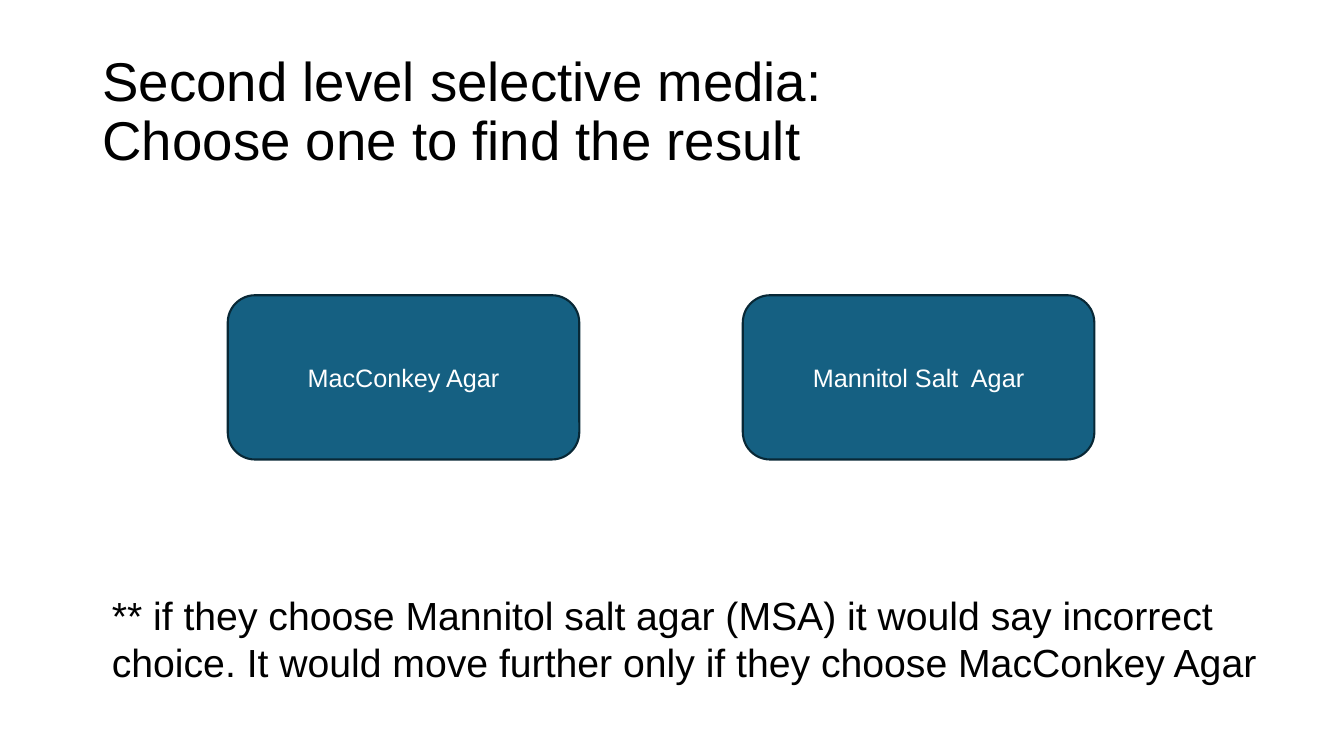
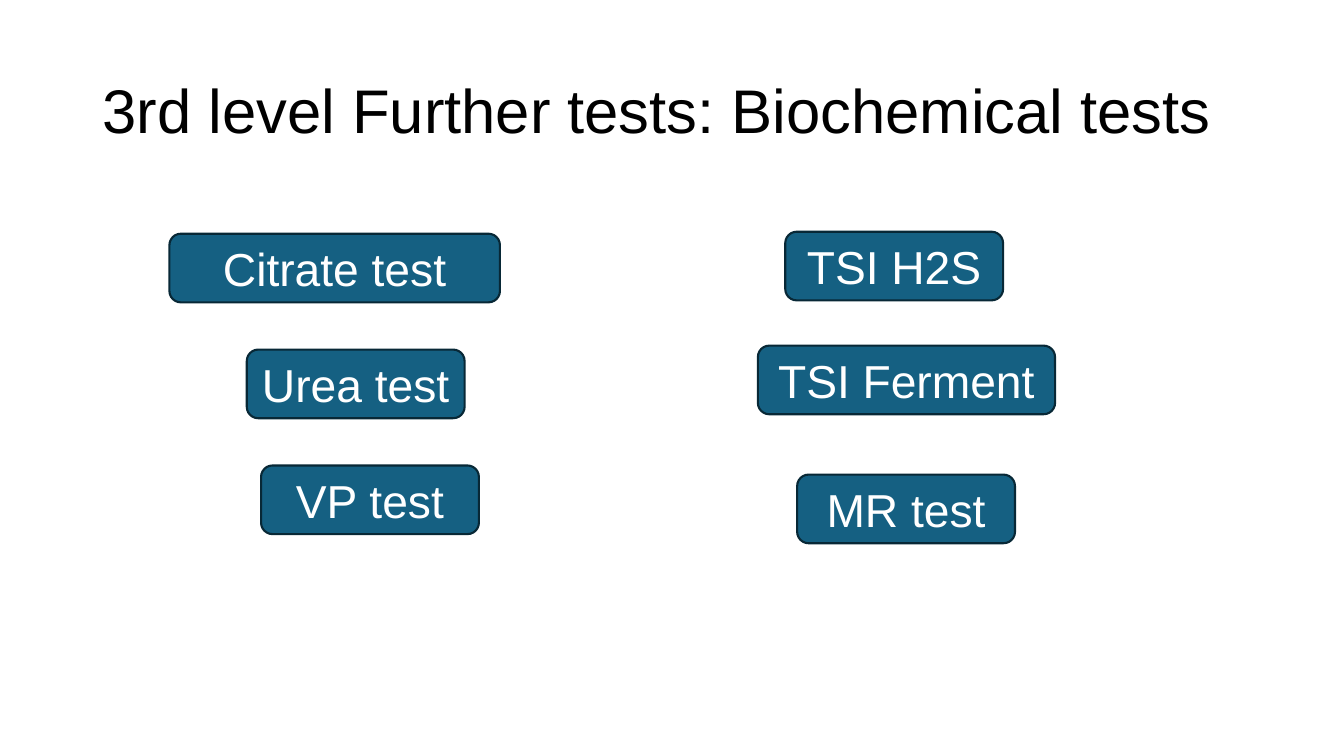
from pptx import Presentation, util as u
from pptx.dml.color import RGBColor
from pptx.enum import shapes, text

COLORS = {"ink": "000000", "paper": "FFFFFF", "box": "156082", "edge": "082836"}
FONT = "Arial"
TITLE_ONLY = 5


def color(name):
    return RGBColor.from_string(COLORS[name])


def write(tf, lines, size, ink="ink", align=text.PP_ALIGN.LEFT,
          anchor=text.MSO_ANCHOR.MIDDLE, spacing=1.0):
    """Write each line as a paragraph in one shared format."""
    tf.word_wrap = True
    tf.auto_size = text.MSO_AUTO_SIZE.NONE
    tf.vertical_anchor = anchor
    for i, line in enumerate(lines):
        p = tf.add_paragraph() if i else tf.paragraphs[0]
        p.alignment, p.line_spacing = align, spacing
        r = p.add_run()
        r.text = line
        r.font.name, r.font.size = FONT, u.Pt(size)
        r.font.color.rgb = color(ink)


def add_slide(prs, title_lines, size):
    s = prs.slides.add_slide(prs.slide_layouts[TITLE_ONLY])
    sp = s.shapes.title
    sp.left, sp.top = u.Cm(2.33), u.Cm(1.02)
    sp.width, sp.height = u.Cm(29.21), u.Cm(3.68)
    write(sp.text_frame, title_lines, size, spacing=0.9)
    return s


def add_box(s, label, left, top, width, height, size):
    sp = s.shapes.add_shape(shapes.MSO_SHAPE.ROUNDED_RECTANGLE,
                            u.Cm(left), u.Cm(top), u.Cm(width), u.Cm(height))
    sp.shadow.inherit = False
    sp.fill.solid()
    sp.fill.fore_color.rgb = color("box")
    sp.line.color.rgb = color("edge")
    sp.line.width = u.Pt(1.5)
    write(sp.text_frame, [label], size, "paper", text.PP_ALIGN.CENTER)


def add_note(s, note, left, top, width, height, size):
    tf = s.shapes.add_textbox(u.Cm(left), u.Cm(top), u.Cm(width), u.Cm(height)).text_frame
    tf.margin_top = tf.margin_bottom = u.Cm(0.25)
    write(tf, [note], size, anchor=text.MSO_ANCHOR.TOP)


def media_slide(prs):
    s = add_slide(prs, ["Second level selective media:", "Choose one to find the result"], 39)
    for i, label in enumerate(["MacConkey Agar", "Mannitol Salt  Agar"]):
        add_box(s, label, 5.74 + i * 12.98, 7.44, 8.86, 4.14, 18)
    add_note(s, "** if they choose Mannitol salt agar (MSA) it would say incorrect choice. "
                "It would move further only if they choose MacConkey Agar",
             2.57, 14.66, 30.51, 2.9, 28)


def tests_slide(prs):
    s = add_slide(prs, ["3rd level Further tests: Biochemical tests"], 44)
    narrow = 5.49
    tests = [  # label, left, top, width
        ("Citrate test", 4.27, 5.89, 8.33),
        ("Urea test", 6.22, 8.81, narrow),
        ("VP test", 6.58, 11.73, narrow),
        ("TSI H2S", 19.79, 5.84, narrow),
        ("TSI Ferment", 19.1, 8.71, 7.49),
        ("MR test", 20.09, 11.96, narrow),
    ]
    for label, left, top, width in tests:
        add_box(s, label, left, top, width, 1.73, 33)


def main():
    prs = Presentation()
    prs.slide_width, prs.slide_height = u.Cm(33.87), u.Cm(19.05)
    media_slide(prs)
    tests_slide(prs)
    prs.save("out.pptx")


if __name__ == "__main__":
    main()
